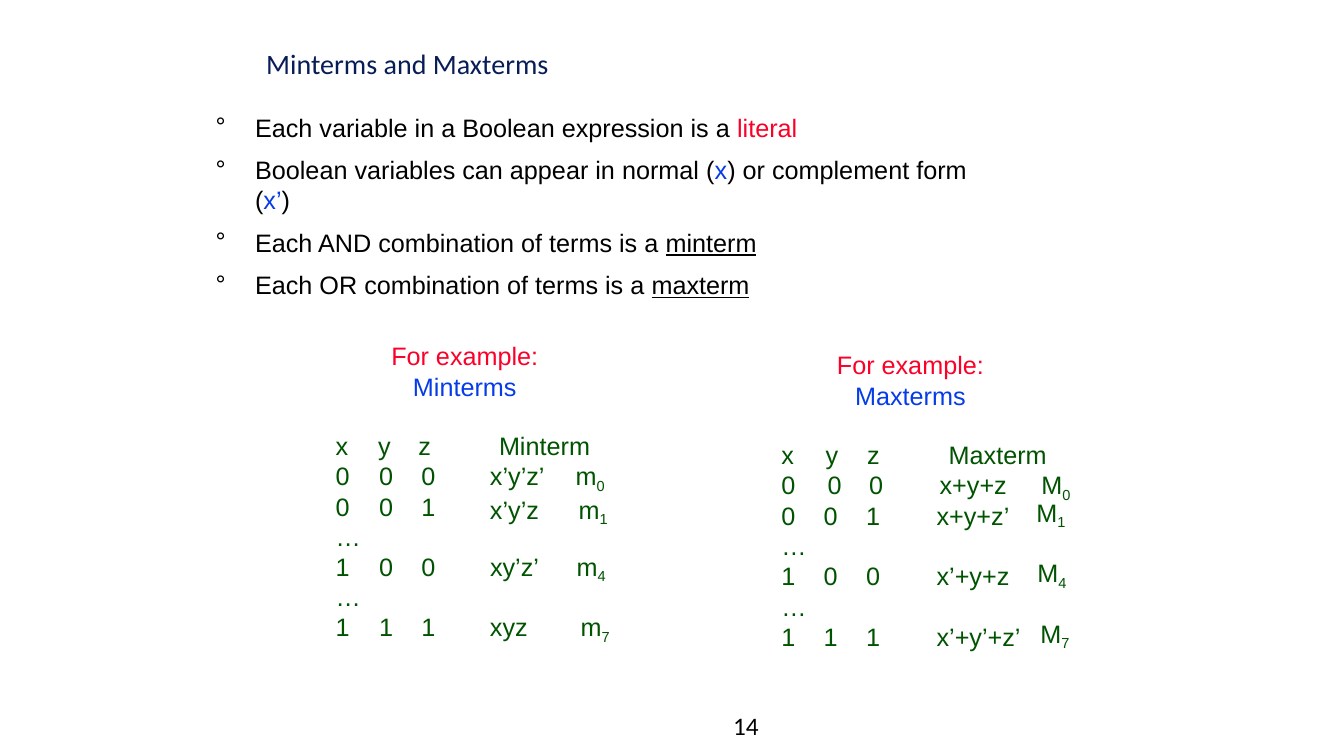
from lxml import etree
from pptx import Presentation
from pptx.dml.color import RGBColor
from pptx.enum import text
from pptx.oxml.ns import qn
from pptx.util import Inches, Pt

NAVY = RGBColor(0x08, 0x1D, 0x57)
BLACK = RGBColor(0, 0, 0)
RED = RGBColor(0xFB, 0x00, 0x28)
BLUE = RGBColor(0x05, 0x3C, 0xE8)
GREEN = RGBColor(0x00, 0x53, 0x00)


def add_span(para, words, color, size=18, font="Arial"):
    span = para.add_run()
    span.text = words
    span.font.name = font
    span.font.size = Pt(size)
    span.font.color.rgb = color
    return span


def fill_term(para, words, indent, tabs=()):
    """Write green words; an underscore starts a subscript."""
    props = para._p.get_or_add_pPr()
    props.set("marL", str(Inches(indent)))
    if tabs:
        stops = etree.SubElement(props, qn("a:tabLst"))
        for tab in tabs:
            etree.SubElement(stops, qn("a:tab"), pos=str(Inches(tab)), algn="l")
    base, _, index = words.partition("_")
    add_span(para, base, GREEN)
    if index:
        span = add_span(para, index, GREEN)
        span.font._element.set("baseline", "-21000")


deck = Presentation()
deck.slide_width, deck.slide_height = Inches(13.33), Inches(7.5)
page = deck.slides.add_slide(deck.slide_layouts[1])

# Title
title = page.shapes.title
title.left, title.top = Inches(2.64), Inches(0.44)
title.width, title.height = Inches(3.21), Inches(0.36)
frame = title.text_frame
frame.margin_left = frame.margin_right = frame.margin_bottom = 0
frame.margin_top = Inches(0.01)
frame.vertical_anchor = text.MSO_ANCHOR.MIDDLE
frame.auto_size = text.MSO_AUTO_SIZE.NONE
para = frame.paragraphs[0]
para.alignment = text.PP_ALIGN.LEFT
para.space_before = Pt(1.1)
add_span(para, "Minterms and Maxterms", NAVY, 20, "Calibri")

# Bulleted definitions
definitions = [
    [("Each variable in a Boolean expression is a ", BLACK), ("literal", RED)],
    [("Boolean variables can appear in normal (", BLACK), ("x", BLUE),
     (") or complement form (", BLACK), ("x’", BLUE), (")", BLACK)],
    [("Each AND combination of terms is a ", BLACK), ("minterm", BLACK)],
    [("Each OR combination of terms is a ", BLACK), ("maxterm", BLACK)],
]
body = page.placeholders[1]
body.left, body.top = Inches(2.13), Inches(0.98)
body.width, body.height = Inches(7.87), Inches(1.73)
frame = body.text_frame
frame.margin_left = frame.margin_right = frame.margin_bottom = 0
frame.margin_top = Inches(0.13)
frame.auto_size = text.MSO_AUTO_SIZE.NONE
for number, spans in enumerate(definitions):
    para = frame.add_paragraph() if number else frame.paragraphs[0]
    para.space_before = Pt(8.7 if number else 9.7)
    props = para._p.get_or_add_pPr()
    props.set("marL", str(Inches(0.4)))
    props.set("indent", str(Inches(-0.39)))
    etree.SubElement(props, qn("a:buChar"), char="°")
    for words, color in spans:
        span = add_span(para, words, color)
        span.font.underline = words in ("minterm", "maxterm")

# Example headings
for left, top, kind in [(3.87, 3.36, "Minterms"), (8.29, 3.45, "Maxterms")]:
    box = page.shapes.add_textbox(Inches(left), Inches(top), Inches(1.48), Inches(0.63))
    frame = box.text_frame
    frame.word_wrap = True
    frame.margin_left = frame.margin_right = frame.margin_bottom = 0
    frame.margin_top = Inches(0.02)
    for number, (words, color) in enumerate([("For example:", RED), (kind, BLUE)]):
        para = frame.add_paragraph() if number else frame.paragraphs[0]
        para.alignment = text.PP_ALIGN.CENTER
        add_span(para, words, color)

# Minterm columns and top rows of the maxterms: left, top, width, height, indent, lines
BITS = (0.43, 0.85)
term_boxes = [
    (3.32, 4.26, 1, 2.13, 0.01, [
        ("x\ty\tz", (0.42, 0.82)), ("0\t0\t0", BITS), ("0\t0\t1", BITS), ("…", ()),
        ("1\t0\t0", BITS), ("…", ()), ("1\t1\t1", BITS)]),
    (4.94, 4.26, 0.93, 0.33, 0.01, [("Minterm", ())]),
    (4.82, 4.56, 1.23, 0.63, 0.04, [("x’y’z’\tm_0", (0.85,)), ("x’y’z\tm_1", (0.88,))]),
    (4.82, 5.46, 1.22, 0.33, 0.04, [("xy’z’\tm_4", (0.86,))]),
    (4.82, 6.06, 1.26, 0.33, 0.04, [("xyz\tm_7", (0.9,))]),
    (7.71, 4.35, 2.97, 0.63, 0.04, [
        ("x\ty\tz\tMaxterm", (0.44, 0.85, 1.66)),
        ("0\t0\t0\tx+y+z\tM_0", (0.46, 0.87, 1.57, 2.58))]),
]
for left, top, width, height, indent, lines in term_boxes:
    box = page.shapes.add_textbox(Inches(left), Inches(top), Inches(width), Inches(height))
    frame = box.text_frame
    frame.word_wrap = True
    frame.margin_left = frame.margin_right = frame.margin_bottom = 0
    frame.margin_top = Inches(0.01)
    for number, (words, tabs) in enumerate(lines):
        para = frame.add_paragraph() if number else frame.paragraphs[0]
        para.space_before = Pt(0 if number else 1)
        fill_term(para, words, indent, tabs)

# Remaining maxterm rows
maxterms = [
    (["0\n…", "0", "1", "x+y+z’", "M_1"], 0.59, 19.9, 0.08),
    (["1\n…", "0", "0", "x’+y+z", "M_4"], 0.6, 20.6, 0.09),
    (["1", "1", "1", "x’+y’+z’", "M_7"], 0.33, 20.6, 0.12),
]
table = page.shapes.add_table(3, 5, Inches(7.72), Inches(4.99),
                              Inches(2.94), Inches(1.52)).table
table.first_row = table.horz_banding = False
for column, width in zip(table.columns, (0.37, 0.36, 0.56, 1.19, 0.46)):
    column.width = Inches(width)
for row, (entries, height, spacing, last_indent) in zip(table.rows, maxterms):
    row.height = Inches(height)
    indents = (0.03, 0.08, 0.14, 0.28, last_indent)
    for cell, words, indent in zip(row.cells, entries, indents):
        cell.fill.background()
        cell.margin_left = cell.margin_right = cell.margin_top = cell.margin_bottom = 0
        for number, line in enumerate(words.split("\n")):
            para = cell.text_frame.add_paragraph() if number else cell.text_frame.paragraphs[0]
            para.line_spacing = Pt(21.6 if number else spacing)
            fill_term(para, line, indent)

# Page number
box = page.shapes.add_textbox(Inches(7.24), Inches(7.04), Inches(0.31), Inches(0.36))
frame = box.text_frame
frame.word_wrap = True
frame.margin_left = Inches(0.03)
frame.margin_right = frame.margin_top = frame.margin_bottom = 0
frame.vertical_anchor = text.MSO_ANCHOR.MIDDLE
frame.paragraphs[0].line_spacing = Pt(18.1)
add_span(frame.paragraphs[0], "14", BLACK, 18, "Calibri")

deck.save("out.pptx")
